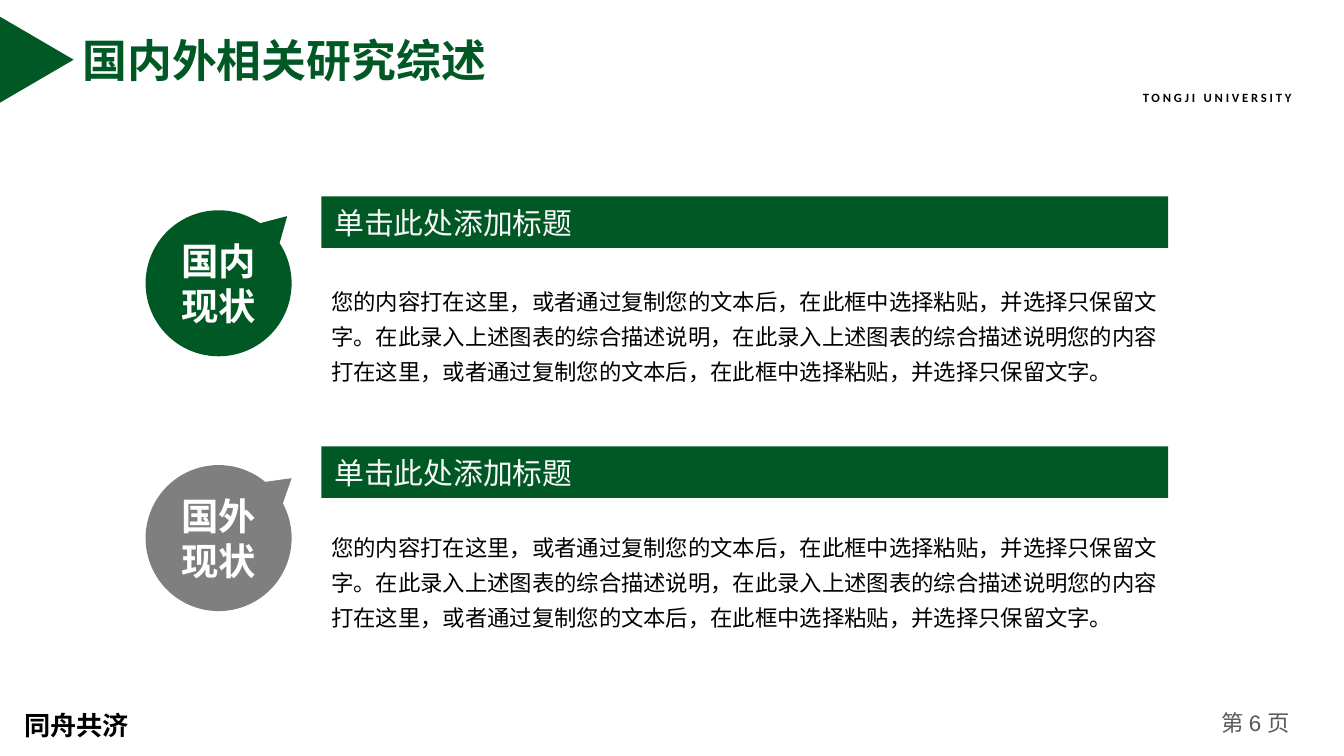
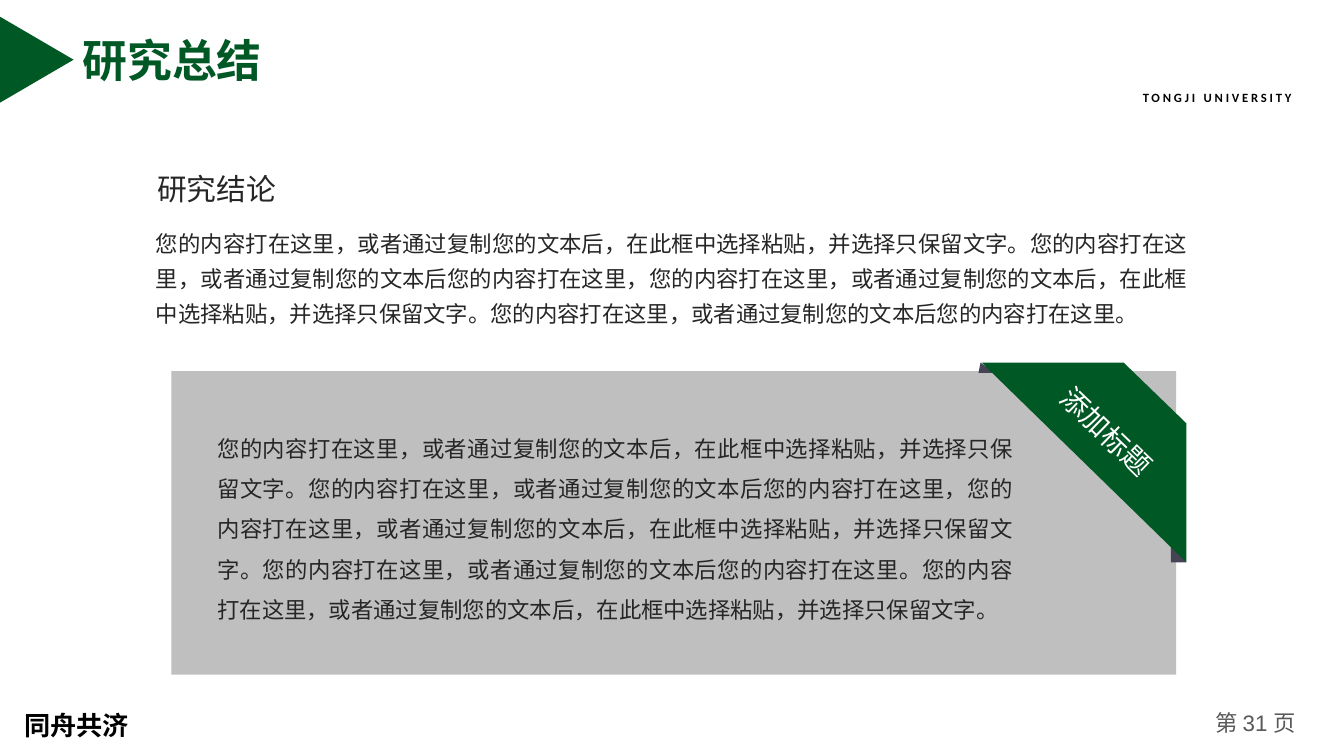
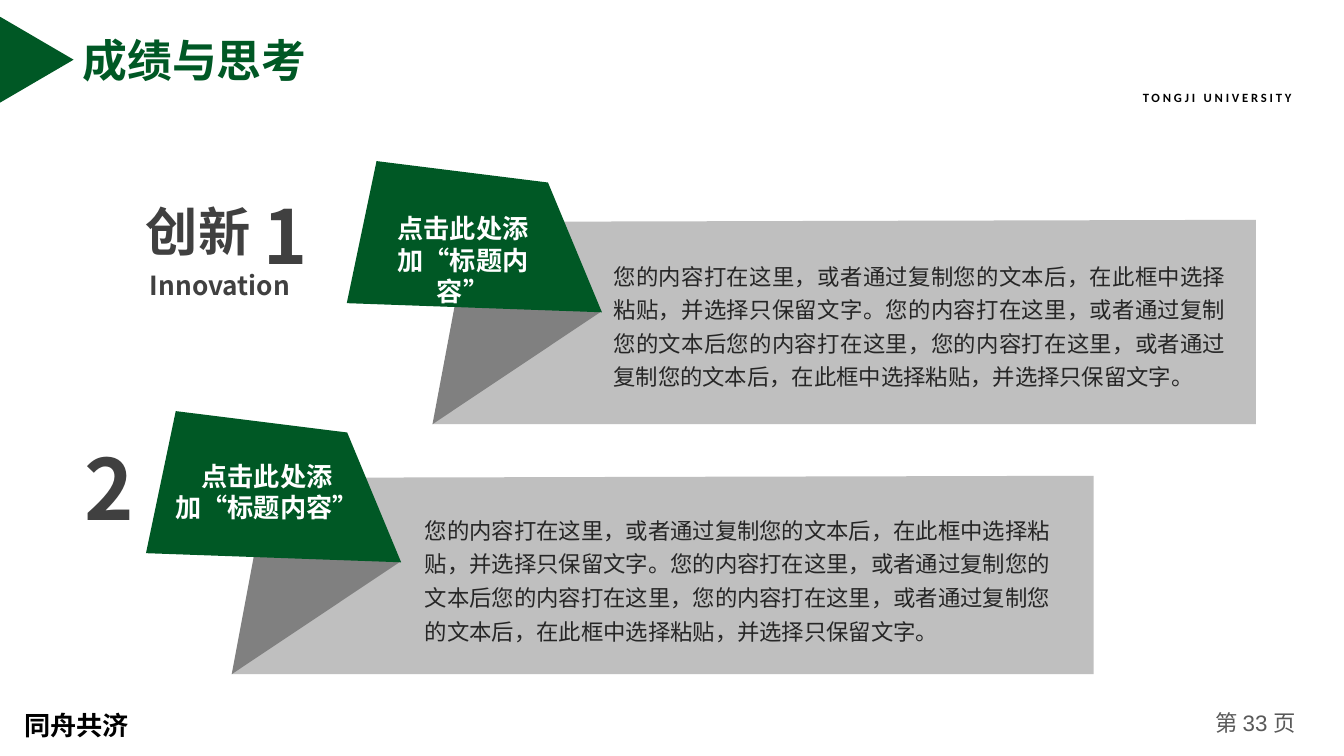
"""Build three green slides of a thesis defence deck."""
from lxml import etree
from pptx import Presentation
from pptx.dml.color import RGBColor
from pptx.enum.lang import MSO_LANGUAGE_ID
from pptx.enum.shapes import MSO_SHAPE
from pptx.enum.text import MSO_ANCHOR, MSO_AUTO_SIZE, PP_ALIGN
from pptx.oxml.ns import qn
from pptx.util import Cm, Pt

RECT = MSO_SHAPE.RECTANGLE
WEDGE = MSO_SHAPE.OVAL_CALLOUT
ARROW = MSO_SHAPE.ISOSCELES_TRIANGLE
LEFT, MID, FULL = PP_ALIGN.LEFT, PP_ALIGN.CENTER, PP_ALIGN.JUSTIFY
TOP, HALF = MSO_ANCHOR.TOP, MSO_ANCHOR.MIDDLE
FIXED = MSO_AUTO_SIZE.NONE
CHINESE = MSO_LANGUAGE_ID.SIMPLIFIED_CHINESE
HAN = "Noto Sans CJK SC"
HUES = {
    "green": "005825", "grey": "7F7F7F", "fold": "808080", "pale": "BFBFBF",
    "slate": "444455", "black": "000000", "ink": "262626", "dark": "404040",
    "page": "595959", "white": "FFFFFF", "snow": "F8F8F8",
}

TYPE = "您的内容打在这里，或者通过复制您的文本后"
KEEP = "，在此框中选择粘贴，并选择只保留文字。"
CHART = "在此录入上述图表的综合描述说明"
REVIEW = TYPE + KEEP + CHART + "，" + CHART + TYPE + KEEP
IDEA = TYPE + KEEP + TYPE + "您的内容打在这里，" + TYPE + KEEP
RESULT = IDEA + TYPE + "您的内容打在这里。"


def write(shape, words, size=16, hue="ink", font=HAN, bold=False, align=LEFT,
          line=1.0, anchor=TOP, pad=(0.25, 0.13), wrap=True, space=0):
    frame = shape.text_frame
    frame.text = words
    frame.word_wrap = wrap
    frame.auto_size = FIXED
    frame.vertical_anchor = anchor
    frame.margin_left = frame.margin_right = Cm(pad[0])
    frame.margin_top = frame.margin_bottom = Cm(pad[1])
    for para in frame.paragraphs:
        para.alignment = align
        para.line_spacing = line
        para.space_before = Pt(0)
        for run in para.runs:
            run.font.size = Pt(size)
            run.font.bold = bold
            run.font.name = font
            run.font.language_id = CHINESE
            run.font.color.rgb = RGBColor.from_string(HUES[hue])
            props = run._r.get_or_add_rPr()
            etree.SubElement(props, qn("a:ea"), typeface=HAN)
            if space:
                props.set("spc", str(space * 100))


def draw(slide, hue, spots, form=None):
    if form is None:
        dots = [(Cm(x), Cm(y)) for x, y in spots]
        path = slide.shapes.build_freeform(*dots[0])
        path.add_line_segments(dots[1:], close=True)
        shape = path.convert_to_shape()
    else:
        shape = slide.shapes.add_shape(form, *map(Cm, spots))
    shape.shadow.inherit = False
    shape.fill.solid()
    shape.fill.fore_color.rgb = RGBColor.from_string(HUES[hue])
    shape.line.fill.background()
    return shape


deck = Presentation()
deck.slide_width, deck.slide_height = Cm(33.87), Cm(19.05)

slides = []
for name, page in (("国内外相关研究综述", 6), ("研究总结", 31), ("成绩与思考", 33)):
    slide = deck.slides.add_slide(deck.slide_layouts[5])
    title = slide.shapes.title
    title.left, title.top, title.width, title.height = map(Cm, (1.75, 0.66, 20, 1.7))
    write(title, name, size=32, hue="green", font="Arial", bold=True,
          anchor=HALF, pad=(0.33, 0.18))
    draw(slide, "green", (-0.15, 0.58, 2.16, 1.85), ARROW).rotation = 90
    box = slide.shapes.add_textbox
    write(box(Cm(30.12), Cm(17.73), Cm(3.05), Cm(1.02)), f"第 {page} 页",
          hue="page", font="Arial", align=MID)
    write(box(Cm(28.55), Cm(2.13), Cm(4.88), Cm(0.61)), "TONGJI UNIVERSITY",
          size=9, hue="black", font="Calibri", bold=True, space=2)
    write(box(Cm(0.36), Cm(17.35), Cm(3.48), Cm(1.35)), "同舟共济",
          size=18.7, hue="black", bold=True, line=1.5)
    slides.append(slide)
review, close, ideas = slides

for words, hue, tip, ball, bar, body in (
    ("国内\n现状", "green", (0.47, -0.46), 5.3, 4.95, 6.93),
    ("国外\n现状", "grey", (0.5, -0.41), 11.72, 11.25, 13.13),
):
    bubble = draw(review, hue, (3.67, ball, 3.68, 3.68), WEDGE)
    bubble.adjustments[0], bubble.adjustments[1] = tip
    write(bubble, words, size=26.7, hue="white", bold=True, align=MID,
          anchor=HALF, pad=(0, 0))
    write(draw(review, "green", (8.1, bar, 21.34, 1.3), RECT), "单击此处添加标题",
          size=21.3, hue="snow", anchor=HALF, pad=(0.33, 0))
    write(review.shapes.add_textbox(Cm(8.1), Cm(body), Cm(21.34), Cm(2.84)),
          REVIEW, hue="black", line=1.3)

box = close.shapes.add_textbox
write(box(Cm(3.71), Cm(4.17), Cm(5), Cm(1.17)), "研究结论", size=21.3)
write(box(Cm(3.68), Cm(5.46), Cm(26.52), Cm(2.84)), RESULT, align=FULL, line=1.3)
draw(close, "pale", (4.32, 9.35, 25.32, 7.65), RECT)
write(box(Cm(5.23), Cm(10.49), Cm(20.57), Cm(5.26)), RESULT + TYPE + KEEP,
      align=FULL, line=1.5)
draw(close, "slate", [(29.9, 14.17), (29.51, 14.17), (29.51, 13.69)])
draw(close, "slate", [(24.71, 9.14), (24.66, 9.4), (25.07, 9.4)])
draw(close, "green", [(24.74, 9.14), (29.9, 14.17), (29.9, 10.67), (28.32, 9.14)])
label = box(Cm(26.21), Cm(10.31), Cm(3.35), Cm(1.12))
label.rotation = 44
write(label, "添加标题", size=20, hue="white", align=MID, wrap=False)

box = ideas.shapes.add_textbox
for x, y, wide, rise, tag, body, align in (
    (8.74, 4.06, 22.91, 1.48, (9.22, 5.23, 4.9, 1.85), (15.21, 6.32, 15.95, 3.61), FULL),
    (3.68, 10.36, 23.88, 1.63, (4.14, 11.46, 5.18, 1.85), (10.46, 12.73, 16.33, 3.61), LEFT),
):
    for hue, spots in (
        ("pale", [(3.78, rise + 0.05), (wide, rise), (wide, 6.63), (2.16, 6.63)]),
        ("fold", [(6.43, 3.78), (2.88, 2.79), (2.16, 6.63)]),
        ("green", [(0.75, 0), (5.07, 0.54), (6.43, 3.81), (0, 3.58)]),
    ):
        draw(ideas, hue, [(x + dx, y + dy) for dx, dy in spots])
    write(box(*map(Cm, tag)), "点击此处添加“标题内容”", size=18.7, hue="white",
          bold=True, align=MID)
    write(box(*map(Cm, body)), IDEA, align=align, line=1.25)

for words, size, spot in (
    ("创新", 37.3, (3.43, 4.9, 3.4, 1.85)),
    ("Innovation", 18.7, (3.53, 6.65, 4.5, 1.07)),
    ("1", 53.3, (6.38, 4.65, 1.68, 2.54)),
    ("2", 60, (1.88, 10.87, 1.83, 2.82)),
):
    write(box(*map(Cm, spot)), words, size=size, hue="dark", bold=True)

deck.save("out.pptx")
